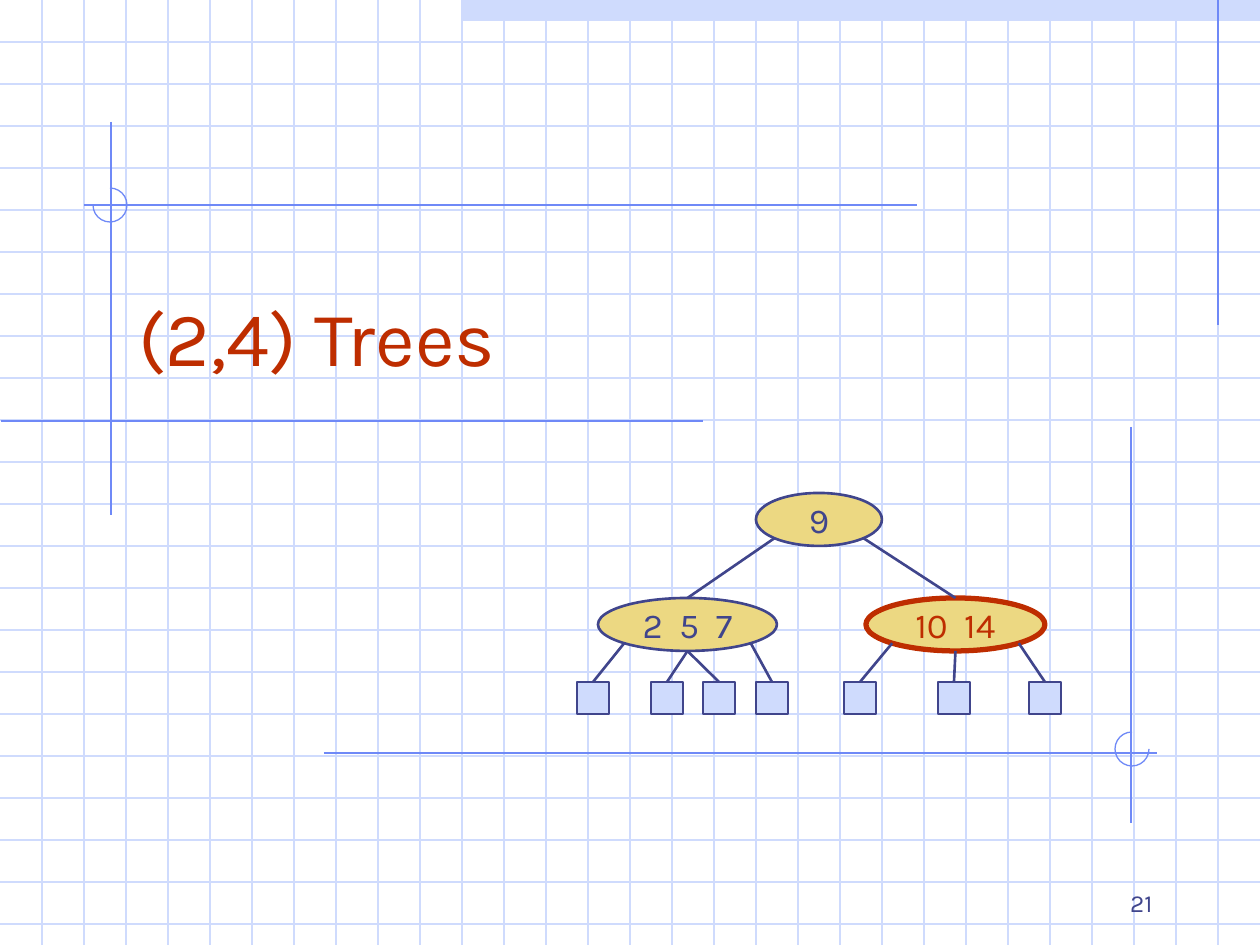
from math import sqrt

from lxml.etree import SubElement
from pptx import Presentation
from pptx.dml.color import RGBColor
from pptx.enum.shapes import MSO_CONNECTOR, MSO_SHAPE
from pptx.enum.text import MSO_ANCHOR as Anchor, PP_ALIGN as Align
from pptx.oxml.ns import qn
from pptx.util import Emu, Pt

PX_PER_INCH = 126
WIDTH, HEIGHT = 1260, 945
GRID_STEP = 42
NODE_HEIGHT = 53
LEAF_SIZE = 32
LEAF_TOP = 682

PALE = RGBColor(0xCF, 0xDB, 0xFD)
BLUE = RGBColor(0x6F, 0x89, 0xF7)
NAVY = RGBColor(0x40, 0x45, 0x8C)
RED = RGBColor(0xBE, 0x2D, 0x00)
GOLD = RGBColor(0xEC, 0xD8, 0x82)


def px(length):
    return Emu(round(length * 914400 / PX_PER_INCH))


def write(shape, text, size, color, align=Align.LEFT, anchor=Anchor.MIDDLE, wrap=True):
    frame = shape.text_frame
    frame.word_wrap = wrap
    frame.vertical_anchor = anchor
    para = frame.paragraphs[0]
    para.alignment = align
    span = para.add_run()
    span.text = text
    span.font.name = "Karla"
    span.font.size = Pt(size)
    span.font.color.rgb = color


def add_text(page, box, text, **style):
    write(page.shapes.add_textbox(*map(px, box)), text, **style)


def add_shape(page, kind, box, fill=None, line=None, weight=1.5):
    shape = page.shapes.add_shape(kind, *map(px, box))
    shape.shadow.inherit = False
    if fill is None:
        shape.fill.background()
    else:
        shape.fill.solid()
        shape.fill.fore_color.rgb = fill
    if line is None:
        shape.line.fill.background()
    else:
        shape.line.color.rgb = line
        shape.line.width = Pt(weight)
    return shape


def add_line(page, start, end, color, weight=0.75):
    line = page.shapes.add_connector(MSO_CONNECTOR.STRAIGHT, *map(px, (*start, *end)))
    line.line.color.rgb = color
    line.line.width = Pt(weight)
    SubElement(line._element.spPr, qn("a:effectLst"))
    return line


def add_grid(page):
    add_shape(page, MSO_SHAPE.RECTANGLE, (462, 0, 798, 21), fill=PALE)
    for y in range(GRID_STEP, HEIGHT, GRID_STEP):
        add_line(page, (0, y), (WIDTH, y), PALE)
    for x in range(GRID_STEP, WIDTH, GRID_STEP):
        add_line(page, (x, 0), (x, HEIGHT), PALE)


def add_arc(page, center, start, end):
    """Draw a three-quarter circle, clockwise between two angles in degrees."""
    radius = 17
    x, y = center
    box = (x - radius, y - radius, 2 * radius, 2 * radius)
    arc = add_shape(page, MSO_SHAPE.ARC, box, line=BLUE, weight=0.75)
    arc.adjustments[0] = start * 0.6
    arc.adjustments[1] = end * 0.6


def add_rules(page):
    for start, end in (
        ((1218, 0), (1218, 325)),
        ((111, 122), (111, 515)),
        ((1, 421), (703, 421)),
        ((84, 205), (917, 205)),
        ((324, 753), (1157, 753)),
        ((1131, 427), (1131, 823)),
    ):
        add_line(page, start, end, BLUE)
    add_arc(page, (110, 205), 270, 180)
    add_arc(page, (1132, 749), 0, 270)


def add_node(page, left, top, width, keys, color=NAVY, weight=1.5):
    """Draw a tree node; return it with its lower left, bottom and lower right points."""
    node = add_shape(page, MSO_SHAPE.OVAL, (left, top, width, NODE_HEIGHT), GOLD, color, weight)
    write(node, keys, size=20, color=color, align=Align.CENTER, wrap=False)
    middle, center_y = left + width / 2, top + NODE_HEIGHT / 2
    reach, drop = width / 2 / sqrt(2), NODE_HEIGHT / 2 / sqrt(2)
    lower_left = (middle - reach, center_y + drop)
    lower_right = (middle + reach, center_y + drop)
    return node, (lower_left, (middle, top + NODE_HEIGHT), lower_right)


def add_edge(page, start, child):
    edge = add_line(page, start, start, NAVY, 1.5)
    edge.end_connect(child, 0)


def add_leaves(page, lefts, starts):
    for left, start in zip(lefts, starts):
        box = (left, LEAF_TOP, LEAF_SIZE, LEAF_SIZE)
        leaf = add_shape(page, MSO_SHAPE.RECTANGLE, box, PALE, NAVY)
        add_edge(page, start, leaf)


def add_tree(page):
    _, (root_left, _, root_right) = add_node(page, 756, 493, 126, "9")
    left_node, (low_left, bottom, low_right) = add_node(page, 598, 598, 179, "2  5  7")
    right_node, right_points = add_node(page, 866, 598, 179, "10  14", RED, 3)
    add_edge(page, root_left, left_node)
    add_edge(page, root_right, right_node)
    add_leaves(page, (577, 651, 703, 756), (low_left, bottom, bottom, low_right))
    add_leaves(page, (844, 938, 1029), right_points)


def main():
    deck = Presentation()
    deck.slide_width, deck.slide_height = px(WIDTH), px(HEIGHT)
    page = deck.slides.add_slide(deck.slide_layouts[6])
    add_grid(page)
    add_rules(page)
    add_text(page, (126, 231, 1071, 157), "(2,4) Trees", size=44, color=RED,
             anchor=Anchor.BOTTOM)
    add_tree(page)
    add_text(page, (903, 861, 262, 63), "21", size=14, color=NAVY,
             align=Align.RIGHT, anchor=Anchor.BOTTOM)
    deck.save("out.pptx")


if __name__ == "__main__":
    main()
